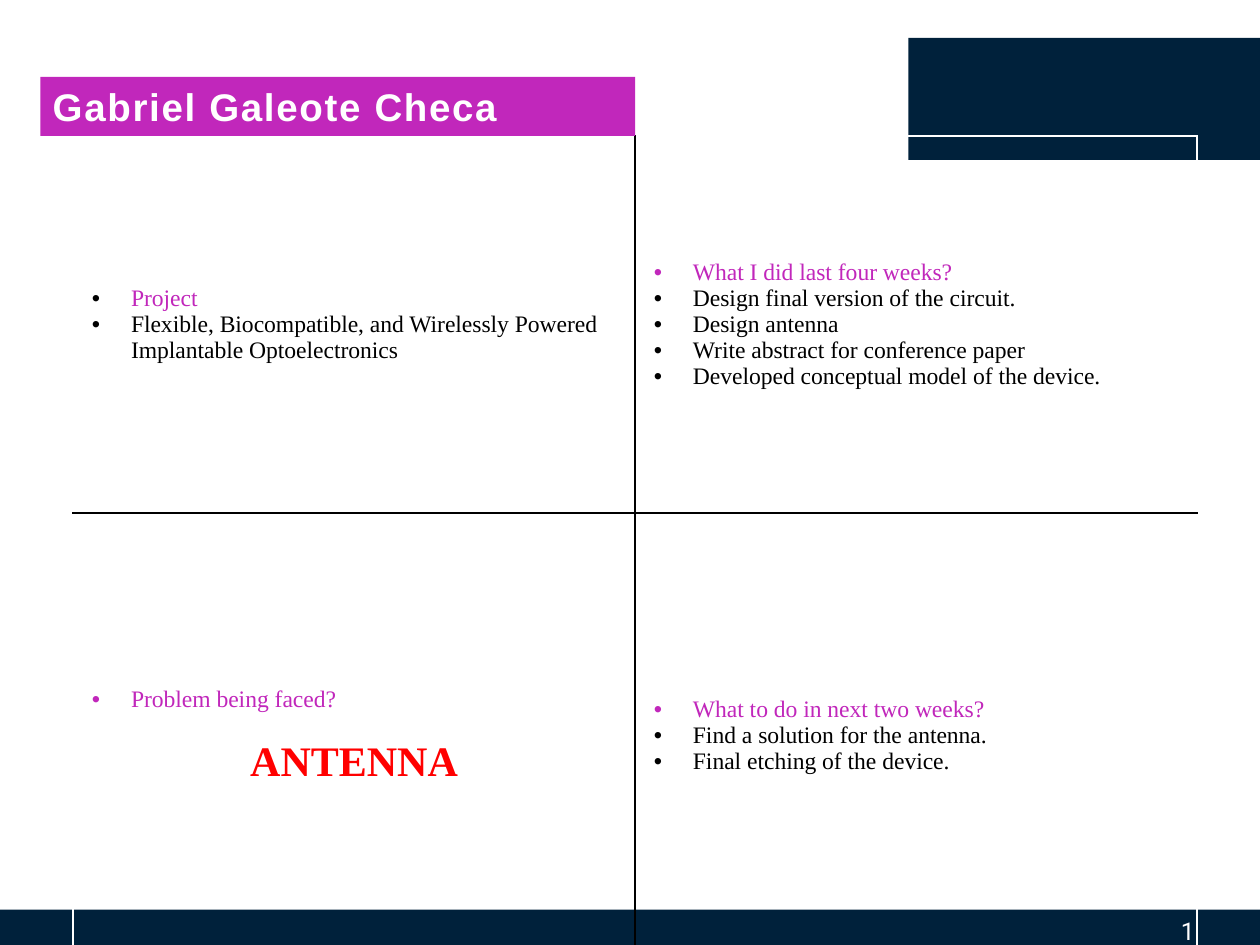
"""Build a four-quadrant progress report slide."""
from lxml import etree
from pptx import Presentation
from pptx.dml.color import RGBColor
from pptx.enum.shapes import MSO_SHAPE
from pptx.enum.text import MSO_ANCHOR, PP_ALIGN
from pptx.oxml.ns import qn
from pptx.util import Inches, Pt

RECTANGLE = MSO_SHAPE.RECTANGLE
MIDDLE = MSO_ANCHOR.MIDDLE
LEFT, CENTER, RIGHT = PP_ALIGN.LEFT, PP_ALIGN.CENTER, PP_ALIGN.RIGHT
NAVY = RGBColor(0x00, 0x21, 0x3B)
MAGENTA = RGBColor(0xC1, 0x27, 0xBB)
RED = RGBColor(0xFF, 0x00, 0x00)
BLACK = RGBColor(0x00, 0x00, 0x00)
WHITE = RGBColor(0xFF, 0xFF, 0xFF)


def add_band(left, top, width, height, color):
    band = slide.shapes.add_shape(
        RECTANGLE, Inches(left), Inches(top), Inches(width), Inches(height))
    band.shadow.inherit = False
    band.fill.solid()
    band.fill.fore_color.rgb = color
    band.line.fill.background()
    return band


def write(paragraph, text, font_name, size, color, bold=False):
    paragraph.text = text
    paragraph.font.name = font_name
    paragraph.font.size = Pt(size)
    paragraph.font.color.rgb = color
    paragraph.font.bold = bold


prs = Presentation()
prs.slide_width, prs.slide_height = Inches(10), Inches(7.5)
slide = prs.slides.add_slide(prs.slide_layouts[6])

add_band(7.21, 0.3, 2.79, 0.97, NAVY)
add_band(0, 7.22, 10.04, 0.31, NAVY)

page_number = slide.shapes.add_textbox(
    Inches(7.5), Inches(7.22), Inches(2.08), Inches(0.31)).text_frame
page_number.word_wrap = True
write(page_number.paragraphs[0], "1", "Roboto", 14, WHITE)
page_number.paragraphs[0].alignment = RIGHT

quadrants = [
    [
        ["Project",
         "Flexible, Biocompatible, and Wirelessly Powered Implantable Optoelectronics"],
        ["What I did last four weeks?",
         "Design final version of the circuit.",
         "Design antenna",
         "Write abstract for conference paper",
         "Developed conceptual model of the device."],
    ],
    [
        ["Problem being faced?"],
        ["What to do in next two weeks?",
         "Find a solution for the antenna.",
         "Final etching of the device."],
    ],
]
report = slide.shapes.add_table(
    2, 2, Inches(0.58), Inches(1.08), Inches(8.92), Inches(6.53)).table
report.first_row = False
report.horz_banding = False
for row, height in zip(report.rows, (2.99, 3.54)):
    row.height = Inches(height)

for r, quadrant_row in enumerate(quadrants):
    for c, items in enumerate(quadrant_row):
        cell = report.cell(r, c)
        cell.vertical_anchor = MIDDLE
        cell.margin_left = cell.margin_right = Inches(0.15)
        cell.margin_top = cell.margin_bottom = Inches(0.15)

        inner_sides = {"lnR" if c == 0 else "lnL", "lnB" if r == 0 else "lnT"}
        tc_pr = cell._tc.get_or_add_tcPr()
        for side in ("lnL", "lnR", "lnT", "lnB"):
            border = etree.SubElement(tc_pr, qn(f"a:{side}"), w=str(Pt(1)))
            fill = etree.SubElement(border, qn("a:solidFill"))
            border_color = BLACK if side in inner_sides else WHITE
            etree.SubElement(fill, qn("a:srgbClr"), val=str(border_color))
        cell.fill.background()

        frame = cell.text_frame
        for i, item in enumerate(items):
            paragraph = frame.add_paragraph() if i else frame.paragraphs[0]
            color = BLACK if i else MAGENTA
            p_pr = paragraph._p.get_or_add_pPr()
            p_pr.set("marL", str(Inches(0.31)))
            p_pr.set("indent", str(-Inches(0.31)))
            bullet_color = etree.SubElement(p_pr, qn("a:buClr"))
            etree.SubElement(bullet_color, qn("a:srgbClr"),
                             val=str(BLACK if item == "Project" else color))
            etree.SubElement(p_pr, qn("a:buFont"), typeface="Arial")
            etree.SubElement(p_pr, qn("a:buChar"), char="•")
            write(paragraph, item, "Times New Roman", 13.5, color)

problem = report.cell(1, 0).text_frame.add_paragraph()
problem.alignment = CENTER
problem.space_before = Pt(15)
write(problem, "ANTENNA", "Times New Roman", 24, RED, bold=True)

presenter = add_band(0.32, 0.61, 4.72, 0.47, MAGENTA).text_frame
presenter.word_wrap = True
presenter.vertical_anchor = MIDDLE
presenter_name = presenter.paragraphs[0]
presenter_name.alignment = LEFT
write(presenter_name, "Gabriel Galeote Checa", "Arial", 22, WHITE, bold=True)
presenter_name.runs[0]._r.get_or_add_rPr().set("spc", "100")

prs.save("out.pptx")
